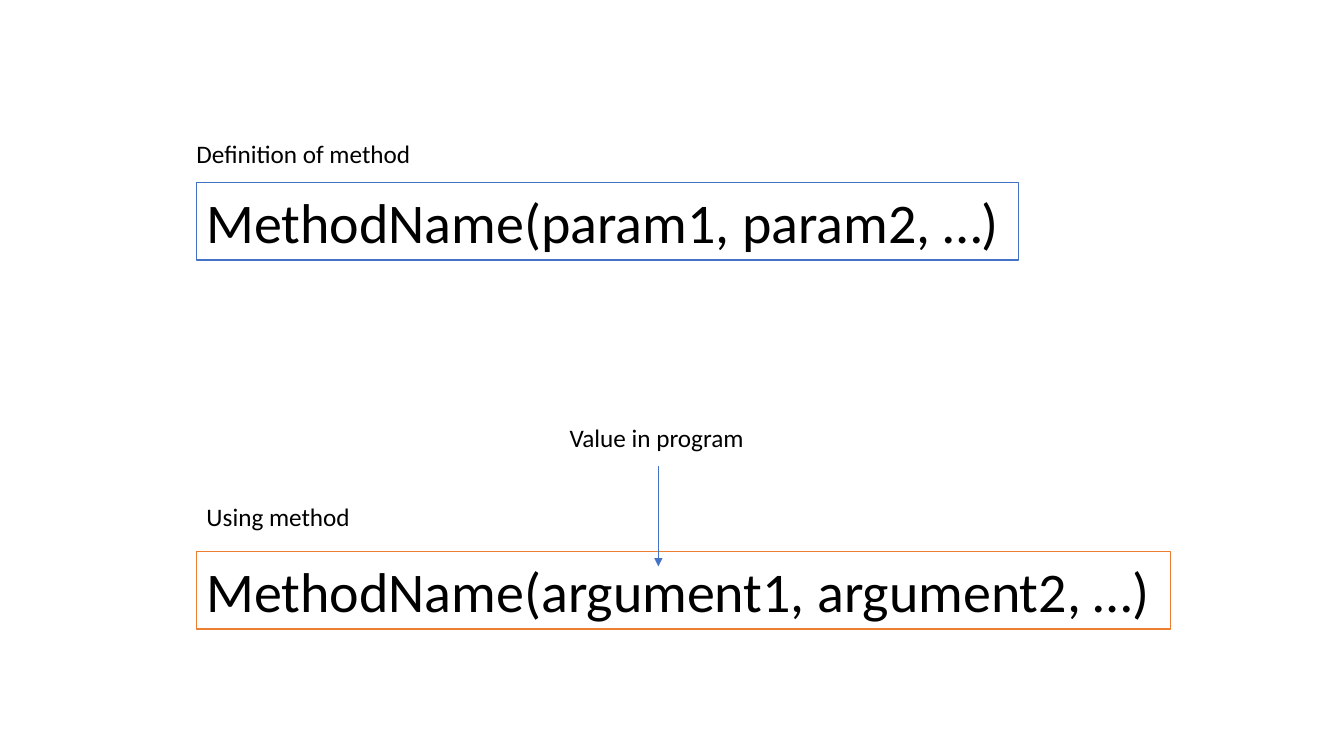
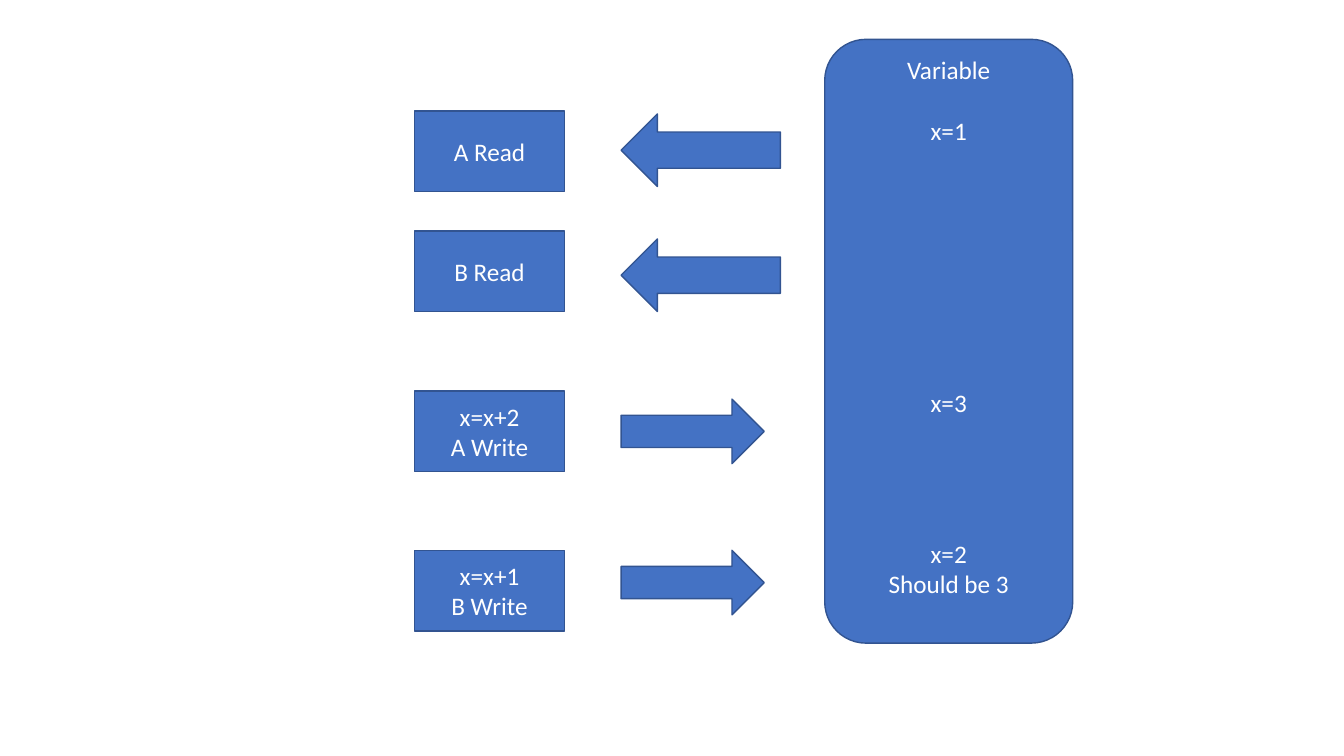
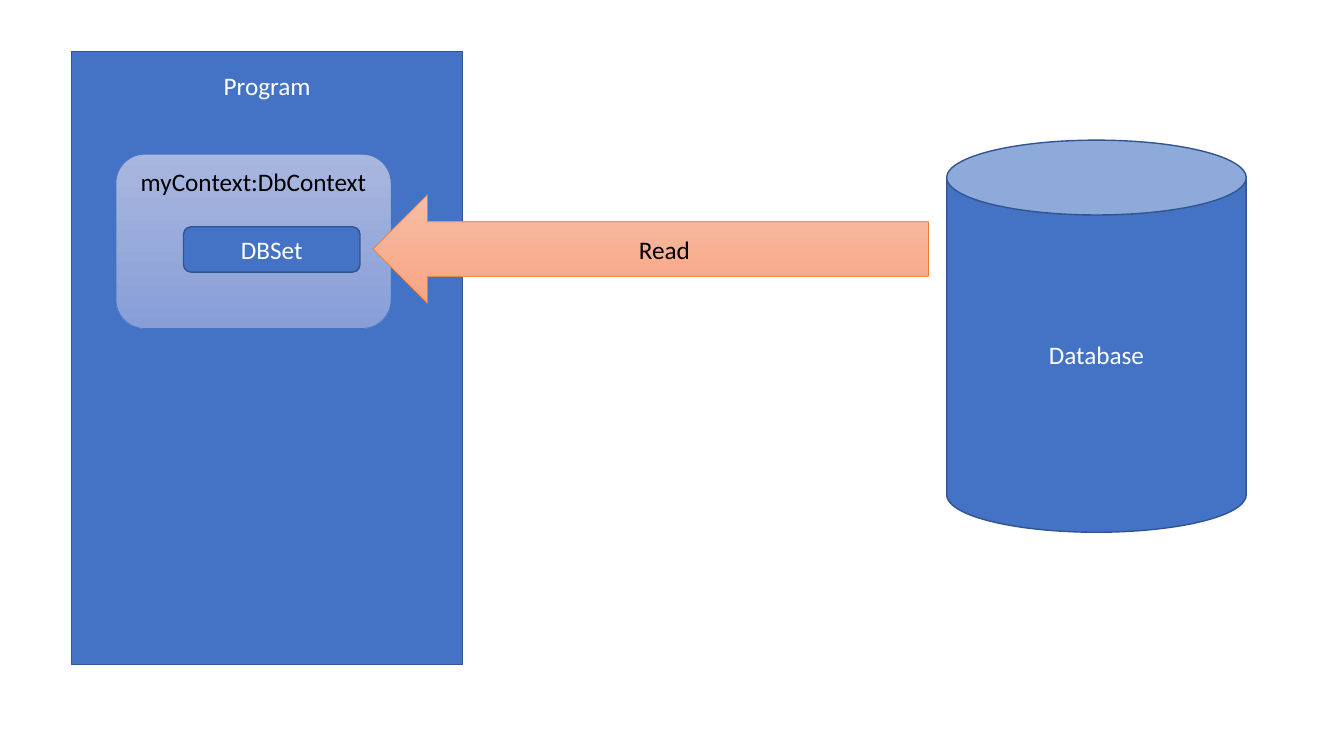
from dataclasses import dataclass

from lxml import etree
from pptx import Presentation
from pptx.dml.color import RGBColor
from pptx.enum.shapes import MSO_CONNECTOR, MSO_SHAPE as Preset
from pptx.enum.text import MSO_ANCHOR as Anchor, MSO_AUTO_SIZE as AutoSize, PP_ALIGN as Align
from pptx.oxml.ns import qn
from pptx.slide import Slide
from pptx.util import Inches, Pt

FONT = "Calibri"
BLUE, EDGE, ORANGE = "4472C4", "325491", "ED7D31"
WHITE, BLACK = "FFFFFF", "000000"
BODY_SIZE = 18
LINE_PITCH = 21.6
BLANK_LAYOUT = 6


@dataclass(frozen=True)
class Line:
    text: str
    gap: float = 0


@dataclass(frozen=True)
class Block:
    preset: Preset
    left: float
    top: float
    width: float
    height: float
    lines: tuple[Line, ...] = ()
    fill: tuple[str, ...] = (BLUE,)
    edge: str = EDGE
    edge_width: float = 1
    ink: str = WHITE
    top_margin: float | None = None


@dataclass(frozen=True)
class Label:
    text: str
    left: float
    top: float
    width: float
    height: float
    size: int = BODY_SIZE
    border: str | None = None


@dataclass(frozen=True)
class Step:
    lines: tuple[Line, ...]
    top: float
    arrow_top: float
    is_read: bool


def rgb(value: str) -> RGBColor:
    return RGBColor.from_string(value)


def write(paragraph, text: str, size: int, ink: str) -> None:
    run = paragraph.add_run()
    run.text = text
    run.font.name = FONT
    run.font.size = Pt(size)
    run.font.color.rgb = rgb(ink)


def add_label(slide: Slide, label: Label) -> None:
    box = slide.shapes.add_textbox(
        Inches(label.left), Inches(label.top), Inches(label.width), Inches(label.height)
    )
    box.text_frame.word_wrap = False
    box.text_frame.auto_size = AutoSize.SHAPE_TO_FIT_TEXT
    if label.border:
        box.fill.solid()
        box.fill.fore_color.rgb = rgb(WHITE)
        box.line.color.rgb = rgb(label.border)
        box.line.width = Pt(1)
    write(box.text_frame.paragraphs[0], label.text, label.size, BLACK)


def add_block(slide: Slide, block: Block) -> None:
    shape = slide.shapes.add_shape(
        block.preset, Inches(block.left), Inches(block.top), Inches(block.width), Inches(block.height)
    )
    shape.shadow.inherit = False
    if len(block.fill) == 1:
        shape.fill.solid()
        shape.fill.fore_color.rgb = rgb(block.fill[0])
    else:
        shape.fill.gradient()
        shape.fill.gradient_angle = 270
        for stop, color in zip(shape.fill.gradient_stops, block.fill):
            stop.color.rgb = rgb(color)
    shape.line.color.rgb = rgb(block.edge)
    shape.line.width = Pt(block.edge_width)

    frame = shape.text_frame
    frame.word_wrap = True
    frame.vertical_anchor = Anchor.MIDDLE
    if block.top_margin is not None:
        frame.vertical_anchor = Anchor.TOP
        frame.margin_top = Inches(block.top_margin)
    for index, line in enumerate(block.lines):
        paragraph = frame.add_paragraph() if index else frame.paragraphs[0]
        paragraph.alignment = Align.CENTER
        if line.gap:
            paragraph.space_before = Pt(line.gap * LINE_PITCH)
        write(paragraph, line.text, BODY_SIZE, block.ink)


def add_pointer(slide: Slide, x: float, top: float, bottom: float) -> None:
    pointer = slide.shapes.add_connector(
        MSO_CONNECTOR.STRAIGHT, Inches(x), Inches(top), Inches(x), Inches(bottom)
    )
    pointer.line.color.rgb = rgb(BLUE)
    pointer.line.width = Pt(0.5)
    etree.SubElement(pointer.line._get_or_add_ln(), qn("a:tailEnd"), type="triangle")
    etree.SubElement(pointer._element.spPr, qn("a:effectLst"))


def build_method_slide(slide: Slide) -> None:
    labels = (
        Label("MethodName(param1, param2, …)", 1.95, 1.81, 8.15, 0.77, 40, BLUE),
        Label("Definition of method", 1.85, 1.32, 2.35, 0.71),
        Label("Using method", 1.95, 4.92, 1.64, 0.71),
        Label("MethodName(argument1, argument2, …)", 1.95, 5.47, 9.66, 0.77, 40, ORANGE),
        Label("Value in program", 5.55, 4.14, 1.95, 0.4),
    )
    for label in labels:
        add_label(slide, label)
    add_pointer(slide, 6.53, 4.62, 5.62)


def build_race_slide(slide: Slide) -> None:
    steps = (
        Step((Line("A Read"),), 1.1, 1.13, True),
        Step((Line("B Read"),), 2.29, 2.37, True),
        Step((Line("x=x+2"), Line("A Write")), 3.88, 3.96, False),
        Step((Line("x=x+1"), Line("B Write")), 5.46, 5.46, False),
    )
    for step in steps:
        add_block(slide, Block(Preset.RECTANGLE, 4.11, step.top, 1.49, 0.8, step.lines))
        preset, width, height = (
            (Preset.LEFT_ARROW, 1.58, 0.72) if step.is_read else (Preset.RIGHT_ARROW, 1.42, 0.64)
        )
        add_block(slide, Block(preset, 6.16, step.arrow_top, width, height))
    history = (
        Line("Variable"),
        Line("x=1", gap=1),
        Line("x=3", gap=8),
        Line("x=2", gap=4),
        Line("Should be 3"),
    )
    add_block(
        slide, Block(Preset.ROUNDED_RECTANGLE, 8.18, 0.39, 2.46, 5.99, history, top_margin=0.03)
    )


def build_database_slide(slide: Slide) -> None:
    blocks = (
        Block(Preset.RECTANGLE, 0.71, 0.51, 3.88, 6.08, (Line("Program"),), top_margin=0.19),
        Block(Preset.CAN, 9.39, 1.39, 2.97, 3.89, (Line("Database"),)),
        Block(
            Preset.ROUNDED_RECTANGLE, 1.15, 1.53, 2.73, 1.73, (Line("myContext:DbContext"),),
            ("A8B7DF", "889ED7"), BLUE, 0.5, BLACK, 0.04,
        ),
        Block(Preset.ROUNDED_RECTANGLE, 1.82, 2.25, 1.75, 0.45, (Line("DBSet"),)),
        Block(
            Preset.LEFT_ARROW, 3.7, 1.93, 5.51, 1.08, (Line("Read"),),
            ("F7BDA5", "F8A582"), ORANGE, 0.5, BLACK,
        ),
    )
    for block in blocks:
        add_block(slide, block)


def main() -> None:
    deck = Presentation()
    deck.slide_width, deck.slide_height = Inches(13.33), Inches(7.5)
    for build in (build_method_slide, build_race_slide, build_database_slide):
        build(deck.slides.add_slide(deck.slide_layouts[BLANK_LAYOUT]))
    deck.save("out.pptx")


if __name__ == "__main__":
    main()
